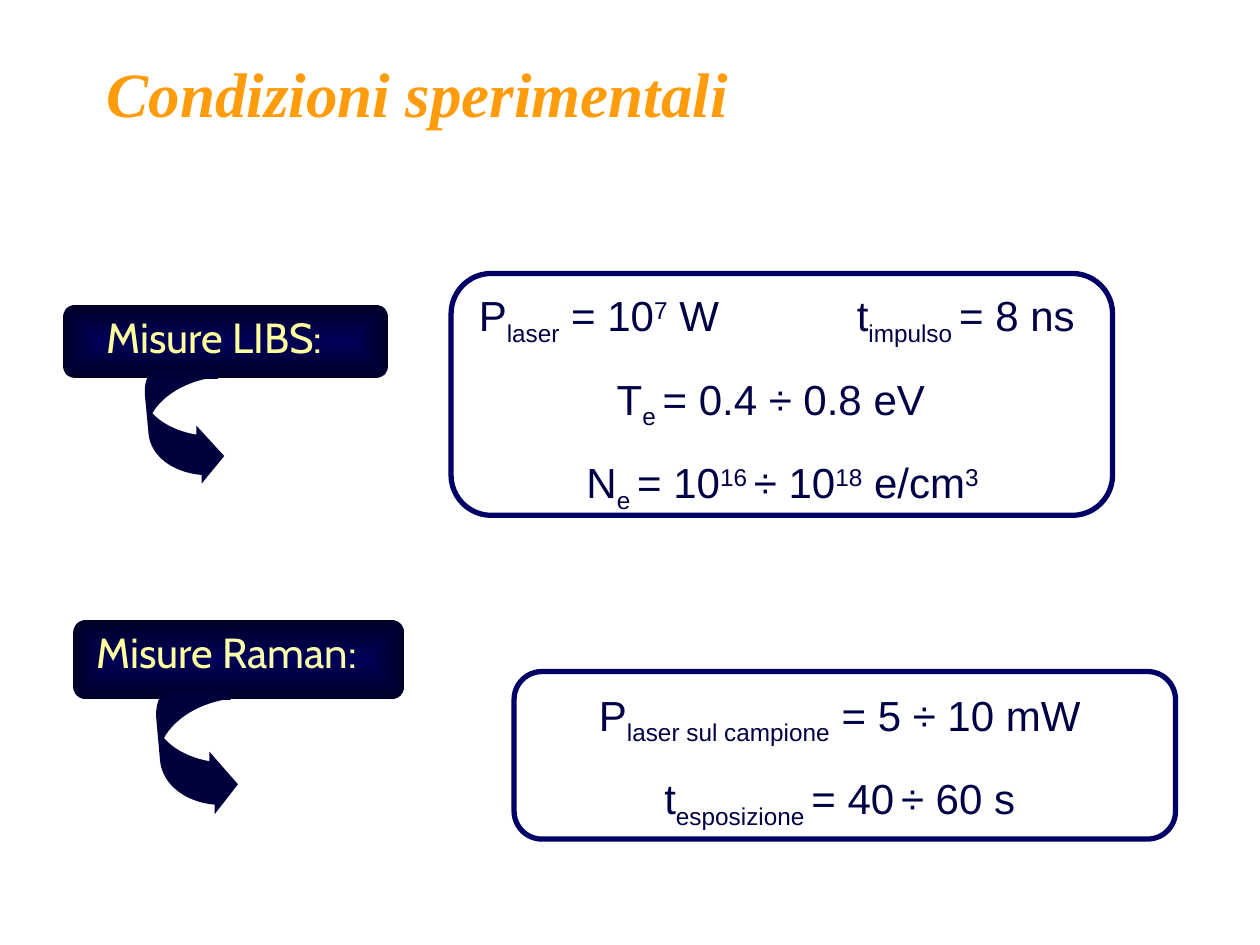
"""Build the slide on the experimental conditions of LIBS and Raman measurements."""
from lxml import etree
from pptx import Presentation, util as u
from pptx.dml.color import RGBColor
from pptx.enum import shapes, text
from pptx.oxml import ns

THEME = {
    "title": "FF9C0B", "label": "FFFF9D", "label_alt": "FAFEAC", "body": "000044",
    "frame": "000066", "arrow": "00003C", "plate": ("000058", "000028"),
    "strip": ("00003C", "000033"), "title_size": 36, "size": 24,
    "title_font": "Times New Roman", "label_font": "Cabin", "body_font": "Arial",
}
SUB, SUP = {"baseline": -25000}, {"baseline": 30000}
PLAIN = {}

TITLE = [[("Condizioni sperimentali", PLAIN)]]
LABELS = [
    {"paras": [[("Misure LIBS:", PLAIN)]], "text": (0.75, 2.42, 2.58, 0.58),
     "plate": (0.5, 2.42, 2.58, 0.58), "strip": (1.19, 2.94, 0.54, 0.07),
     "arrow": (1.15, 2.68), "scale": (1, 1)},
    {"paras": [[("Misure ", PLAIN), ("Raman:", {"color": THEME["label_alt"]})]],
     "text": (0.67, 4.92, 2.63, 0.63),
     "plate": (0.58, 4.92, 2.63, 0.63), "strip": (1.28, 5.48, 0.55, 0.08),
     "arrow": (1.24, 5.21), "scale": (1.03, 1.08)},
]
PANELS = [
    {"text": (3.33, 2.25, 5.67, 1.88), "frame": (3.58, 2.17, 5.25, 1.92), "paras": [
        [("P", PLAIN), ("laser", SUB), (" = 10", PLAIN), ("7", SUP),
         (" W\tt", PLAIN), ("impulso ", SUB), ("= 8 ns", PLAIN)],
        [("T", PLAIN), ("e ", SUB), ("= 0.4 ÷ 0.8 eV ", PLAIN)],
        [(" N", PLAIN), ("e ", SUB), ("= 10", PLAIN), ("16 ", SUP), ("÷ 10", PLAIN),
         ("18", SUP), (" e/cm", PLAIN), ("3", SUP)]]},
    {"text": (4, 5.42, 5.33, 1.22), "frame": (4.08, 5.33, 5.25, 1.33), "paras": [
        [("P", PLAIN), ("laser sul campione", SUB), (" = 5 ÷ 10 mW", PLAIN)],
        [("t", PLAIN), ("esposizione ", SUB), ("= 40", PLAIN), (" ", SUP),
         ("÷ 60 s", PLAIN)]]},
]
ARROW = [
    [(0.54, 0)], [(0.22, 0.03), (-0.02, 0.23), (0, 0.45)], [(0.03, 0.77)],
    [(0.05, 0.94), (0.22, 1.07), (0.45, 1.09)], [(0.45, 1.16)], [(0.63, 0.94)],
    [(0.41, 0.7)], [(0.41, 0.77)], [(0.28, 0.75), (0.14, 0.69), (0.06, 0.6)],
    [(0.14, 0.46), (0.33, 0.34), (0.58, 0.31)],
]


def inches(values):
    return [u.Inches(v) for v in values]


def add_text(slide, box, paras, *, font, color, size=THEME["size"], bold=False,
             align=text.PP_ALIGN.LEFT, anchor=text.MSO_ANCHOR.TOP, gap=0, tab=None):
    tf = slide.shapes.add_textbox(*inches(box)).text_frame
    tf.word_wrap = True
    tf.vertical_anchor = anchor
    for i, runs in enumerate(paras):
        p = tf.paragraphs[0] if i == 0 else tf.add_paragraph()
        p.alignment = align
        if i:
            p.space_before = u.Pt(gap)
        if tab and any("\t" in words for words, _ in runs):
            tabs = etree.SubElement(p._p.get_or_add_pPr(), ns.qn("a:tabLst"))
            etree.SubElement(tabs, ns.qn("a:tab"), pos=str(u.Inches(tab)), algn="l")
        for words, look in runs:
            r = p.add_run()
            r.text = words
            r.font.name, r.font.size = font, u.Pt(size)
            r.font.bold = r.font.italic = bold
            r.font.color.rgb = RGBColor.from_string(look.get("color", color))
            if "baseline" in look:
                r._r.get_or_add_rPr().set("baseline", str(look["baseline"]))


def add_box(slide, kind, box, colors=None, line=None):
    s = slide.shapes.add_shape(kind, *inches(box))
    s.shadow.inherit = False
    if colors:
        s.fill.gradient()
        for stop, color in zip(s.fill.gradient_stops, colors):
            stop.color.rgb = RGBColor.from_string(color)
        grad = s._element.spPr.find(ns.qn("a:gradFill"))
        grad.remove(grad.find(ns.qn("a:lin")))
        shade = etree.SubElement(grad, ns.qn("a:path"), path="rect")
        etree.SubElement(shade, ns.qn("a:fillToRect"), {side: "50000" for side in "ltrb"})
    else:
        s.fill.background()
    if line:
        s.line.color.rgb = RGBColor.from_string(line)
        s.line.width = u.Pt(3)
    else:
        s.line.fill.background()


def add_arrow(slide, origin, scale):
    segments = [[inches(o + k * v for o, k, v in zip(origin, scale, pt)) for pt in seg]
                for seg in ARROW]
    ends = [seg[-1] for seg in segments]
    builder = slide.shapes.build_freeform(*ends[0])
    builder.add_line_segments(ends[1:], close=True)
    s = builder.convert_to_shape()
    for step, seg in zip(list(s._element.iter(ns.qn("a:lnTo"))), segments[1:]):
        if len(seg) == 3:
            curve = etree.Element(ns.qn("a:cubicBezTo"))
            for x, y in seg:
                etree.SubElement(curve, ns.qn("a:pt"), x=str(x - s.left), y=str(y - s.top))
            step.getparent().replace(step, curve)
    s.shadow.inherit = False
    s.fill.solid()
    s.fill.fore_color.rgb = RGBColor.from_string(THEME["arrow"])
    s.line.fill.background()


def main():
    prs = Presentation()
    prs.slide_width, prs.slide_height = inches((10, 7.5))
    slide = prs.slides.add_slide(prs.slide_layouts[6])
    kinds = shapes.MSO_SHAPE
    add_text(slide, (0.75, 0.16, 8.5, 0.92), TITLE, font=THEME["title_font"],
             color=THEME["title"], size=THEME["title_size"], bold=True,
             anchor=text.MSO_ANCHOR.BOTTOM)
    for label in LABELS:
        add_arrow(slide, label["arrow"], label["scale"])
        add_box(slide, kinds.ROUNDED_RECTANGLE, label["plate"], colors=THEME["plate"])
        add_box(slide, kinds.RECTANGLE, label["strip"], colors=THEME["strip"])
        add_text(slide, label["text"], label["paras"], font=THEME["label_font"],
                 color=THEME["label"])
    for panel in PANELS:
        add_text(slide, panel["text"], panel["paras"], font=THEME["body_font"],
                 color=THEME["body"], align=text.PP_ALIGN.CENTER, gap=15, tab=3)
        add_box(slide, kinds.ROUNDED_RECTANGLE, panel["frame"], line=THEME["frame"])
    prs.save("out.pptx")


if __name__ == "__main__":
    main()
